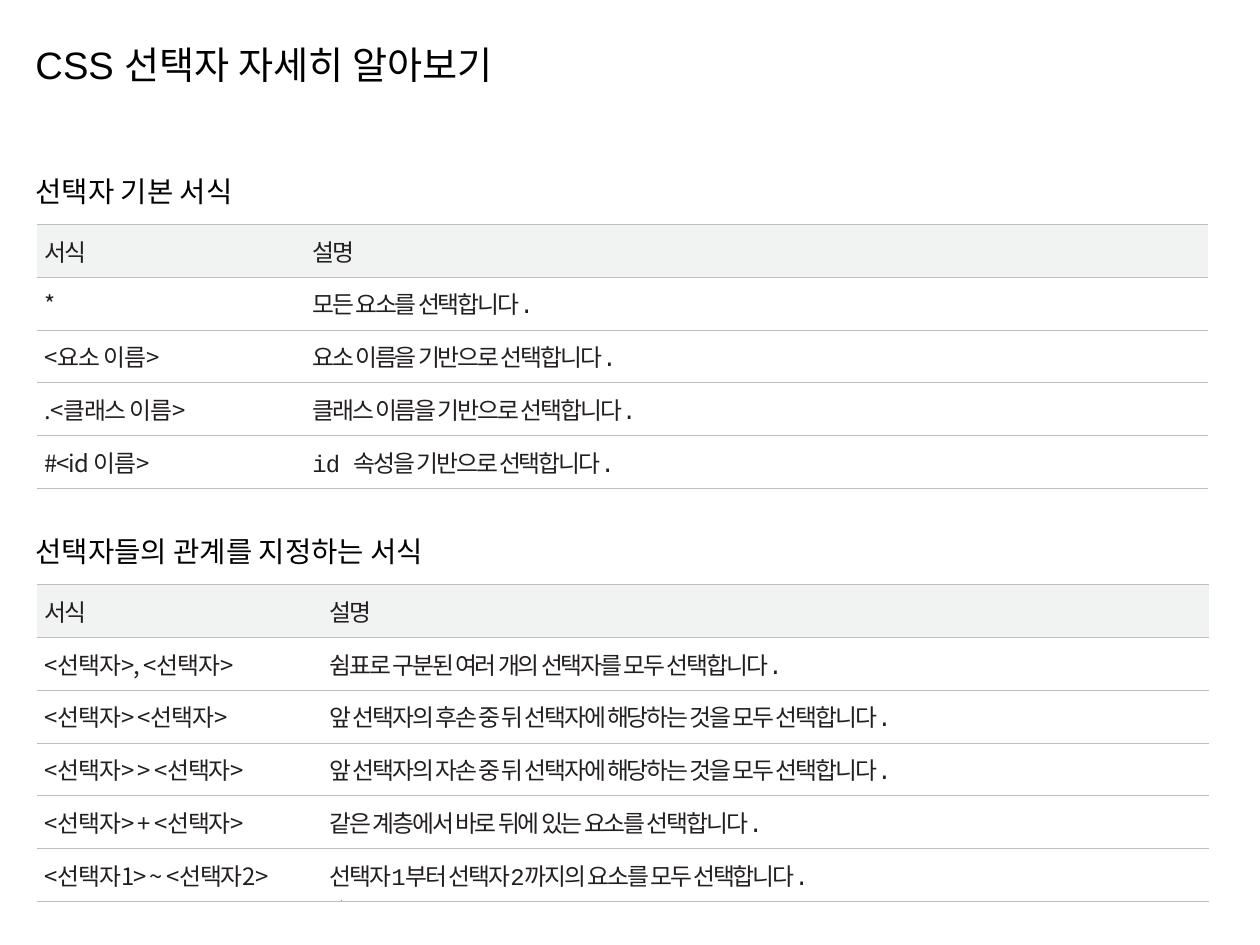
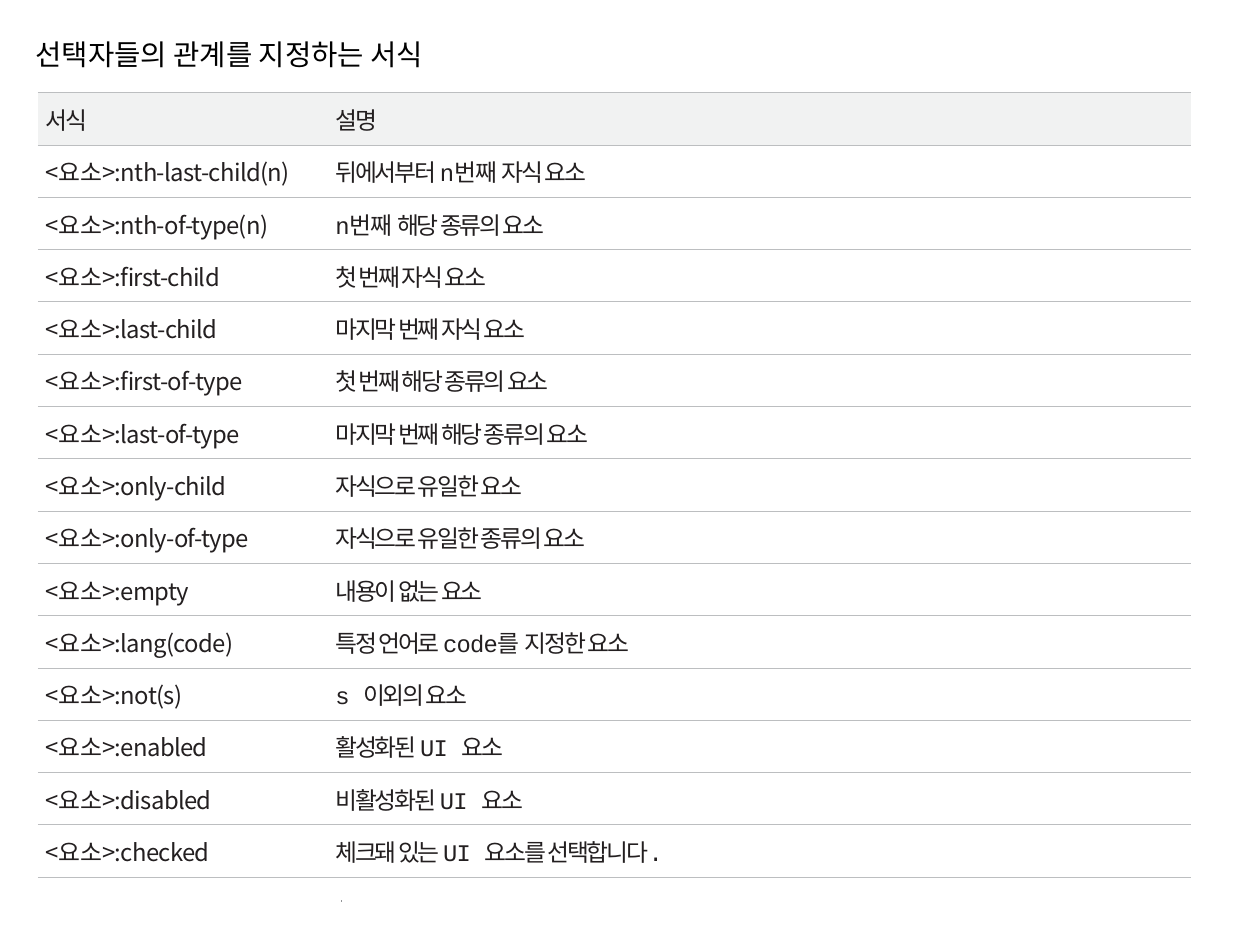
"""Builds two slides of tables that explain CSS selectors."""
from itertools import groupby

from lxml import etree
from pptx import Presentation
from pptx import util as u
from pptx.dml import color
from pptx.enum import text
from pptx.oxml import ns

INK, BLACK, RULE, BAND, DOT = "231F20", "000000", "BCBEC0", "F1F2F2", "939598"
KOREAN, MONO, SANS = "Noto Sans CJK KR", "Courier New", "Arial"
TIGHT, LOOSE = -1.3, -0.5
LINKS = "선택자들의 관계를 지정하는 서식"
HEAD = ("서식", "설명")

basic = [
    HEAD,
    ("*", "모든 요소를 선택합니다."),
    ("<요소 이름>", "요소 이름을 기반으로 선택합니다."),
    (".<클래스 이름>", "클래스 이름을 기반으로 선택합니다."),
    ("#<id 이름>", "id 속성을 기반으로 선택합니다."),
]
links = [
    HEAD,
    ("<선택자>, <선택자>", "쉼표로 구분된 여러 개의 선택자를 모두 선택합니다."),
    ("<선택자> <선택자>", "앞 선택자의 후손 중 뒤 선택자에 해당하는 것을 모두 선택합니다."),
    ("<선택자> > <선택자>", "앞 선택자의 자손 중 뒤 선택자에 해당하는 것을 모두 선택합니다."),
    ("<선택자> + <선택자>", "같은 계층에서 바로 뒤에 있는 요소를 선택합니다."),
    ("<선택자1> ~ <선택자2>", "선택자1부터 선택자2까지의 요소를 모두 선택합니다."),
]
pseudo = [HEAD] + [("<요소>:" + name, note) for name, note in [
    ("nth-last-child(n)", "뒤에서부터 n번째 자식 요소"),
    ("nth-of-type(n)", "n번째 해당 종류의 요소"),
    ("first-child", "첫 번째 자식 요소"),
    ("last-child", "마지막 번째 자식 요소"),
    ("first-of-type", "첫 번째 해당 종류의 요소"),
    ("last-of-type", "마지막 번째 해당 종류의 요소"),
    ("only-child", "자식으로 유일한 요소"),
    ("only-of-type", "자식으로 유일한 종류의 요소"),
    ("empty", "내용이 없는 요소"),
    ("lang(code)", "특정 언어로 code를 지정한 요소"),
    ("not(s)", "s 이외의 요소"),
    ("enabled", "활성화된 UI 요소"),
    ("disabled", "비활성화된 UI 요소"),
    ("checked", "체크돼 있는 UI 요소를 선택합니다."),
]]

pages = [
    (("CSS 선택자 자세히 알아보기", 0.36, 24),
     [("선택자 기본 서식", 1.52), (LINKS, 4.67)],
     [(basic, 0.32, 1.96, (2.07, 8.17), 2.31, 0.34, -0.7),
      (links, 0.32, 5.11, (2.4, 7.84), 2.77, 0.16, -0.7)]),
    ((LINKS, 0.32, 18), [],
     [(pseudo, 0.33, 0.81, (2.53, 7.55), 6.86, 0.07, -0.4)]),
]


def paint(fill, tone):
    fill.solid()
    fill.fore_color.rgb = color.RGBColor.from_string(tone)


def style(run, size, face, tone, gap=0):
    run.font.size = u.Pt(size)
    run.font.name = face
    paint(run.font.fill, tone)
    props = run.font._element
    etree.SubElement(props, ns.qn("a:ea"), typeface=KOREAN)
    props.set("spc", str(round(gap * 100)))


deck = Presentation()
deck.slide_width, deck.slide_height = u.Inches(11.01), u.Inches(8.26)

for (title, top, size), heads, tables in pages:
    slide = deck.slides.add_slide(deck.slide_layouts[5])
    lines = [(slide.shapes.title, title, top, size)]
    for words, y in heads:
        box = slide.shapes.add_textbox(0, 0, 0, 0)
        lines.append((box, words, y, 18))
    for box, words, y, size in lines:
        box.left, box.top = u.Inches(0.31), u.Inches(y)
        box.width, box.height = u.Inches(10.4), u.Inches(size / 48)
        frame = box.text_frame
        frame.text = words
        frame.word_wrap = True
        frame.auto_size = text.MSO_AUTO_SIZE.NONE
        frame.vertical_anchor = text.MSO_ANCHOR.TOP
        frame.margin_left = frame.margin_right = 0
        frame.margin_top = frame.margin_bottom = 0
        para = frame.paragraphs[0]
        para.alignment = text.PP_ALIGN.LEFT
        style(para.runs[0], size, SANS, BLACK)

    pen = slide.shapes.build_freeform(u.Inches(2.98), u.Inches(7.88))
    pen.add_line_segments([(u.Inches(2.98), u.Inches(7.87))], close=False)
    dot = pen.convert_to_shape()
    dot.shadow.inherit = False
    dot.fill.background()
    paint(dot.line.fill, DOT)
    dot.line.width = u.Pt(0.25)

    for rows, x, y, widths, height, inset, gap in tables:
        grid = slide.shapes.add_table(
            len(rows), 2, u.Inches(x), u.Inches(y),
            u.Inches(sum(widths)), u.Inches(height)).table
        grid.horz_banding = grid.first_row = False
        for col, width in zip(grid.columns, widths):
            col.width = u.Inches(width)
        for r, row in enumerate(rows):
            for c, words in enumerate(row):
                cell = grid.cell(r, c)
                cell.margin_left = u.Inches(inset if c else 0.07)
                cell.margin_top = u.Inches(0.08)
                cell.margin_right = cell.margin_bottom = 0
                props = cell._tc.get_or_add_tcPr()
                for side in "LRTB":
                    edge = etree.SubElement(props, ns.qn("a:ln" + side), w="6350")
                    if side in "LR":
                        etree.SubElement(edge, ns.qn("a:noFill"))
                    else:
                        tint = etree.SubElement(edge, ns.qn("a:solidFill"))
                        etree.SubElement(tint, ns.qn("a:srgbClr"), val=RULE)
                if r:
                    cell.fill.background()
                else:
                    paint(cell.fill, BAND)
                para = cell.text_frame.paragraphs[0]
                if r and not c:
                    para.text = words
                    style(para.runs[0], 15, KOREAN, INK, gap)
                    continue
                parts = groupby(words.split(), lambda word: word[0].isascii())
                for latin, group in parts:
                    run = para.add_run()
                    run.text = " ".join(group) + " "
                    style(run, 15, MONO, INK, LOOSE if latin else TIGHT)
                run.text = run.text.rstrip()

deck.save("out.pptx")
